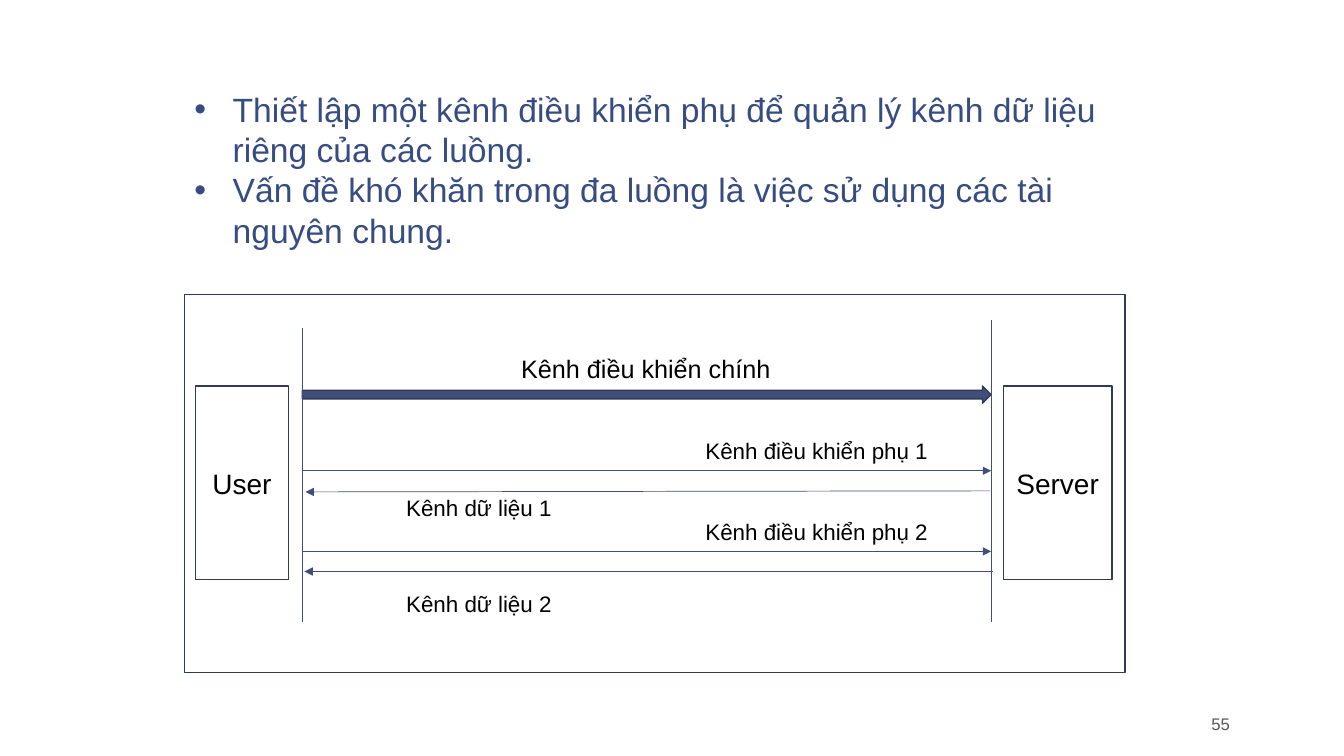
from lxml import etree
from pptx import Presentation
from pptx.dml.color import RGBColor
from pptx.enum.shapes import MSO_CONNECTOR, MSO_SHAPE
from pptx.enum.text import MSO_ANCHOR, PP_ALIGN
from pptx.oxml.ns import qn
from pptx.util import Inches, Pt

LEFT, CENTER, RIGHT = PP_ALIGN.LEFT, PP_ALIGN.CENTER, PP_ALIGN.RIGHT
TOP, MIDDLE, BOTTOM = MSO_ANCHOR.TOP, MSO_ANCHOR.MIDDLE, MSO_ANCHOR.BOTTOM
RECTANGLE, RIGHT_ARROW = MSO_SHAPE.RECTANGLE, MSO_SHAPE.RIGHT_ARROW
STRAIGHT = MSO_CONNECTOR.STRAIGHT

FONT = "Arial"
BLACK = RGBColor(0x00, 0x00, 0x00)
WHITE = RGBColor(0xFF, 0xFF, 0xFF)
OUTLINE = RGBColor(0x30, 0x3A, 0x58)
CHANNEL = RGBColor(0x41, 0x4E, 0x77)
BODY = RGBColor(0x37, 0x4C, 0x81)
GREY = RGBColor(0x59, 0x59, 0x59)

POINTS = [
    "Thiết lập một kênh điều khiển phụ để quản lý kênh dữ liệu riêng của các luồng.",
    "Vấn đề khó khăn trong đa luồng là việc sử dụng các tài nguyên chung.",
]


def write(shape, lines, size, color, align=CENTER, anchor=TOP):
    frame = shape.text_frame
    frame.word_wrap = True
    frame.vertical_anchor = anchor
    frame.text = "\n".join(lines)
    for paragraph in frame.paragraphs:
        paragraph.alignment = align
        for run in paragraph.runs:
            run.font.name = FONT
            run.font.size = Pt(size)
            run.font.color.rgb = color
    return frame


def add_text(slide, box, lines, size, color, align=CENTER, anchor=TOP):
    textbox = slide.shapes.add_textbox(*map(Inches, box))
    return write(textbox, lines, size, color, align, anchor)


def add_block(slide, box, fill=None, preset=RECTANGLE):
    block = slide.shapes.add_shape(preset, *map(Inches, box))
    block.shadow.inherit = False
    if fill is None:
        block.fill.background()
    else:
        block.fill.solid()
        block.fill.fore_color.rgb = fill
    block.line.color.rgb = OUTLINE
    block.line.width = Pt(1)
    return block


def add_line(slide, start, end, arrow=False):
    connector = slide.shapes.add_connector(STRAIGHT, *map(Inches, start + end))
    connector.line.color.rgb = CHANNEL
    connector.line.width = Pt(0.5)
    if arrow:
        outline = connector.line._get_or_add_ln()
        etree.SubElement(outline, qn("a:tailEnd"), type="triangle")
    etree.SubElement(connector._element.spPr, qn("a:effectLst"))


def add_points(slide, box):
    frame = add_text(slide, box, POINTS, 24, BODY, LEFT)
    for paragraph in frame.paragraphs:
        properties = paragraph._p.get_or_add_pPr()
        properties.set("marL", str(Inches(0.38)))
        properties.set("indent", str(Inches(-0.38)))
        etree.SubElement(properties, qn("a:buFont"), typeface=FONT)
        etree.SubElement(properties, qn("a:buChar"), char="•")


def add_channel_diagram(slide, box):
    left, top, width, height = box
    user_x, server_x = left + 1.17, left + 8
    add_block(slide, box)

    # Main control channel
    add_block(slide, (user_x, top + 0.91, server_x - user_x, 0.17), CHANNEL, RIGHT_ARROW)
    add_text(slide, (left + 2.2, top + 0.54, 4.75, 0.4), ["Kênh điều khiển chính"], 18, BLACK)

    # Lifelines
    for x, start in ((user_x, 0.33), (server_x, 0.25)):
        add_line(slide, (x, top + start), (x, top + 3.25))

    # Secondary control channel and data channel of each thread
    threads = [
        (1, 1.75, (server_x - 0.01, 1.95), (user_x + 0.03, 1.96), 1.93),
        (2, 2.55, (server_x + 0.02, 2.75), (user_x + 0.02, 2.75), 2.89),
    ]
    for number, control_y, data_start, data_end, data_label_y in threads:
        add_line(slide, (user_x, top + control_y), (server_x, top + control_y), arrow=True)
        add_line(slide, (data_start[0], top + data_start[1]),
                 (data_end[0], top + data_end[1]), arrow=True)
        labels = [
            (f"Kênh điều khiển phụ {number}", left + 4.52, control_y - 0.38),
            (f"Kênh dữ liệu {number}", user_x, data_label_y),
        ]
        for label, x, y in labels:
            add_text(slide, (x, top + y, 3.5, 0.37), [label], 16, BLACK)

    # Endpoints
    for name, offset, block_width in (("User", 0.11, 0.92), ("Server", 8.12, 1.08)):
        endpoint = add_block(slide, (left + offset, top + 0.91, block_width, 1.92), WHITE)
        frame = write(endpoint, [name], 20, BLACK, CENTER, MIDDLE)
        frame.margin_left = frame.margin_right = Inches(0.05)


def add_page_number(slide, box):
    frame = add_text(slide, box, ["55"], 12, GREY, RIGHT, BOTTOM)
    frame.margin_left = frame.margin_right = Inches(0.13)
    frame.margin_top = frame.margin_bottom = Inches(0.07)


def main():
    presentation = Presentation()
    presentation.slide_width = Inches(13.33)
    presentation.slide_height = Inches(7.5)
    slide = presentation.slides.add_slide(presentation.slide_layouts[6])
    add_channel_diagram(slide, (1.83, 2.92, 9.33, 3.75))
    add_points(slide, (1.83, 0.83, 9.33, 1.72))
    add_page_number(slide, (11.12, 7, 1.21, 0.35))
    presentation.save("out.pptx")


if __name__ == "__main__":
    main()
